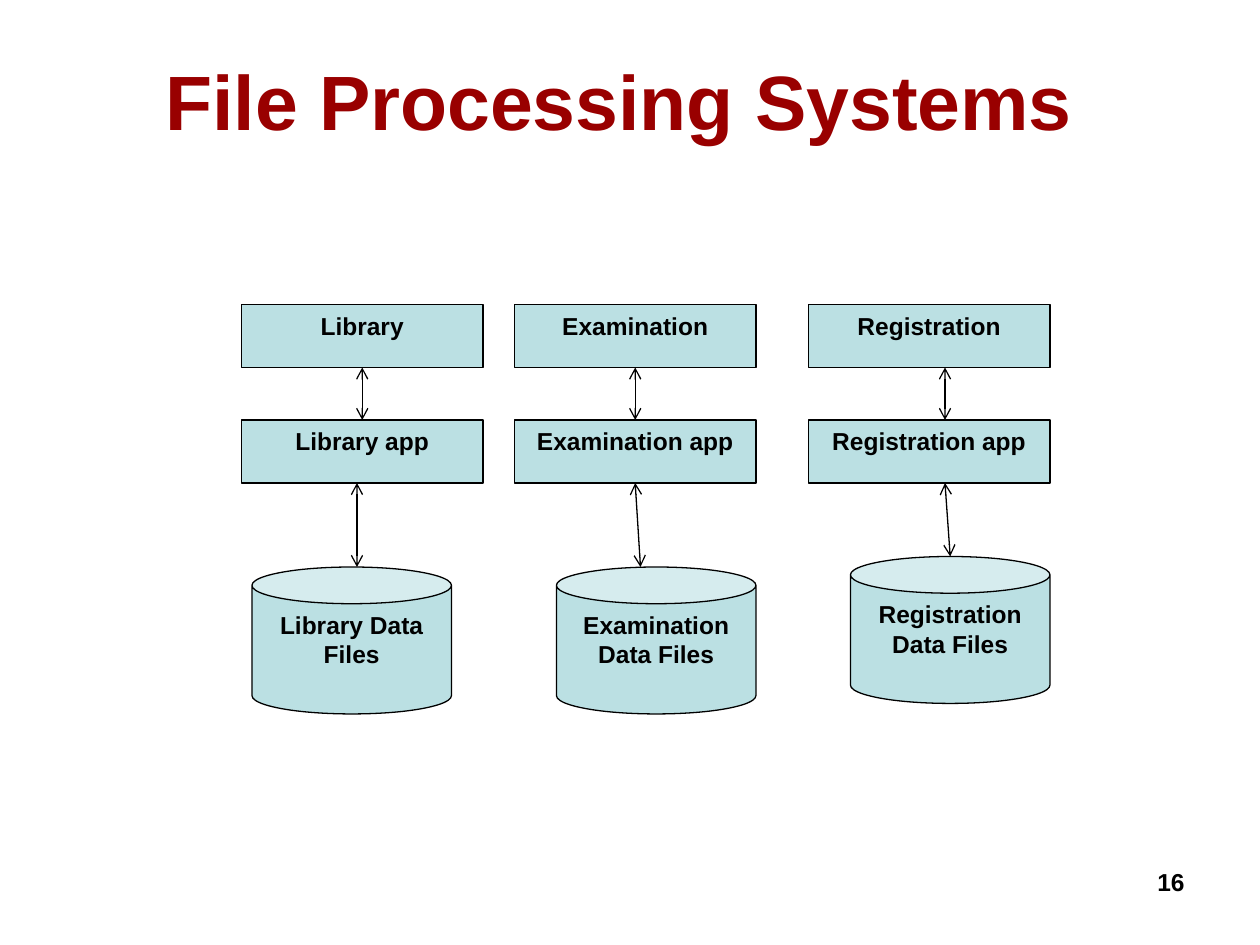
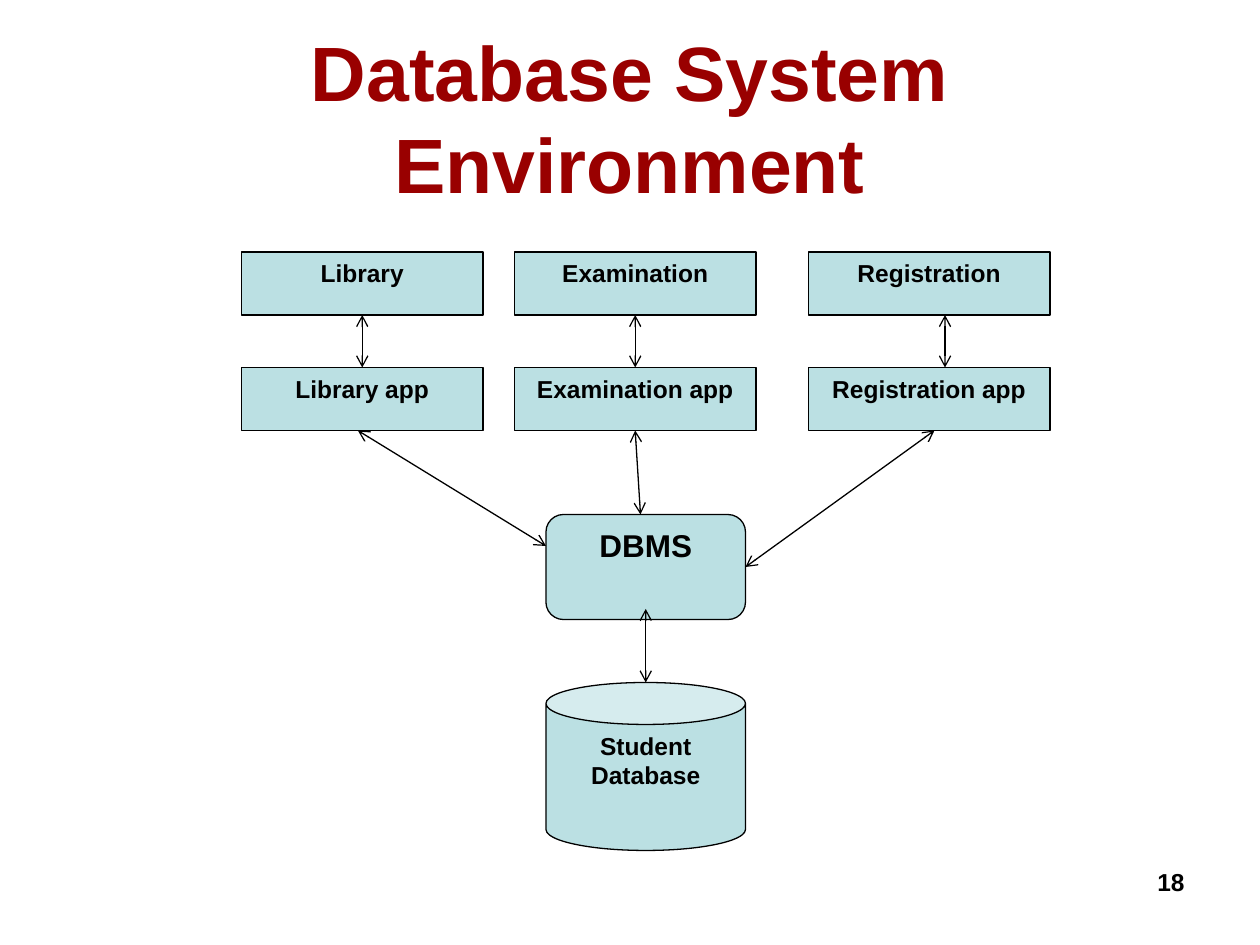
"""Build two slides comparing file processing with a database system."""
from lxml.etree import SubElement as Sub
from pptx import Presentation
from pptx.dml.color import RGBColor
from pptx.enum.shapes import MSO_CONNECTOR as Line, MSO_SHAPE as Kind
from pptx.enum.text import MSO_ANCHOR as Anchor, PP_ALIGN as Align
from pptx.oxml.ns import qn
from pptx.util import Pt

RED = RGBColor(0x99, 0x00, 0x00)
BLACK = RGBColor(0x00, 0x00, 0x00)
TEAL = RGBColor(0xBB, 0xE0, 0xE3)
LABEL = {"name": "Arial", "size": Pt(14), "bold": True}
TITLE = LABEL | {"size": Pt(44)}
LARGE = LABEL | {"size": Pt(18)}
FRAME = {
    "word_wrap": True,
    "margin_left": Pt(7.2),
    "margin_right": Pt(7.2),
    "margin_top": Pt(3.6),
    "margin_bottom": Pt(3.6),
}
UNITS = ("Library", "Examination", "Registration")
COLS = (138, 294, 462)
MIDS = (207, 363, 540)
WIDE, HIGH, STEP = 138, 36, 66
TOP, LEFT, LOW, RIGHT = range(4)


def apply(obj, values):
    for key, value in values.items():
        setattr(obj, key, value)


def write(shape, text, font=LABEL, color=BLACK, align=Align.CENTER, anchor=Anchor.TOP):
    frame = shape.text_frame
    apply(frame, FRAME | {"vertical_anchor": anchor})
    para = frame.paragraphs[0]
    para.alignment = align
    run = para.add_run()
    run.text = text
    apply(run.font, font)
    run.font.color.rgb = color


def add_text(slide, box, text, **style):
    write(slide.shapes.add_textbox(*map(Pt, box)), text, **style)


def add_node(slide, kind, box, text, font=LABEL):
    node = slide.shapes.add_shape(kind, *map(Pt, box))
    node.shadow.inherit = False
    node.fill.solid()
    node.fill.fore_color.rgb = TEAL
    node.line.color.rgb = BLACK
    node.line.width = Pt(0.75)
    write(node, text, font)
    return node


def add_link(slide, start, end, head=None, tail=None):
    link = slide.shapes.add_connector(Line.STRAIGHT, *map(Pt, start + end))
    link.line.color.rgb = BLACK
    link.line.width = Pt(0.75)
    if head:
        link.begin_connect(*head)
    if tail:
        link.end_connect(*tail)
    props = link._element.spPr
    for tag in ("a:headEnd", "a:tailEnd"):
        Sub(props.find(qn("a:ln")), qn(tag), type="arrow")
    Sub(props, qn("a:effectLst"))


def add_base(deck, title, left, top, number):
    slide = deck.slides.add_slide(deck.slide_layouts[6])
    add_text(slide, (left, top, 648, 90), title, font=TITLE, color=RED, anchor=Anchor.MIDDLE)
    add_text(slide, (516, 492, 168, 37), number, align=Align.RIGHT)
    return slide


def add_apps(slide, top):
    apps = []
    low = top + STEP
    for unit, left, mid in zip(UNITS, COLS, MIDS):
        user = add_node(slide, Kind.RECTANGLE, (left, top, WIDE, HIGH), unit)
        app = add_node(slide, Kind.RECTANGLE, (left, low, WIDE, HIGH), f"{unit} app")
        joined = mid == left + WIDE / 2
        ends = ((user, LOW), (app, TOP)) if joined else ()
        add_link(slide, (mid, top + HIGH), (mid, low), *ends)
        apps.append(app)
    return apps


def add_files(deck):
    slide = add_base(deck, "File Processing Systems", 30, 12, "16")
    apps = add_apps(slide, 174)
    stores = ((144, 324, 204, 204), (318, 324, 363, 366), (486, 318, 540, 543))
    for unit, app, (left, top, start, end) in zip(UNITS, apps, stores):
        add_node(slide, Kind.CAN, (left, top, 114, 84), f"{unit} Data Files")
        head = (app, LOW) if start == 363 else None
        add_link(slide, (start, 276), (end, top), head)


def add_system(deck):
    slide = add_base(deck, "Database System Environment", 36, 21.6, "18")
    apps = add_apps(slide, 144)
    add_node(slide, Kind.CAN, (312, 390, 114, 96), "Student Database")
    dbms = add_node(slide, Kind.ROUNDED_RECTANGLE, (312, 294, 114, 60), "DBMS", LARGE)
    add_link(slide, (204.5, 246), (312, 312))
    add_link(slide, (363, 246), (366, 294), (apps[1], LOW))
    add_link(slide, (534, 246), (426, 324), None, (dbms, RIGHT))
    add_link(slide, (369, 348), (369, 390))


def main():
    deck = Presentation()
    deck.slide_width, deck.slide_height = Pt(720), Pt(540)
    add_files(deck)
    add_system(deck)
    deck.save("out.pptx")


if __name__ == "__main__":
    main()
